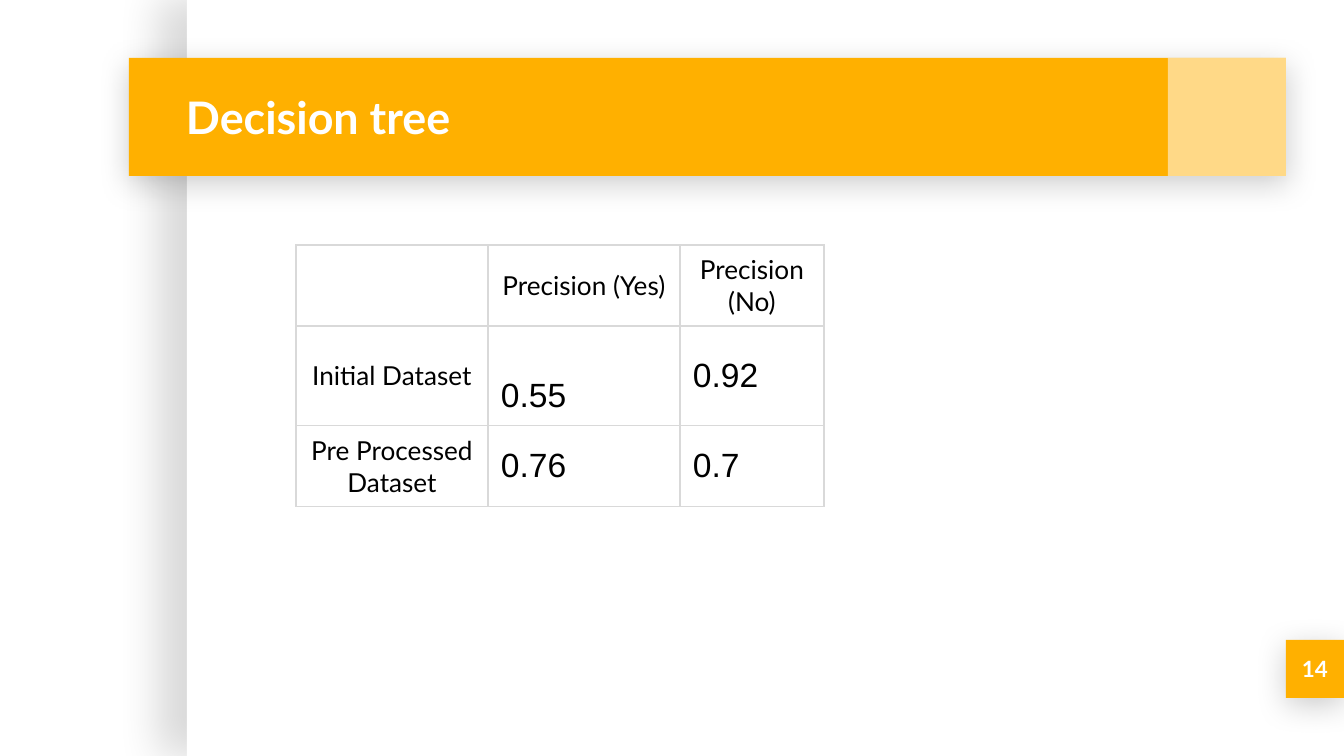
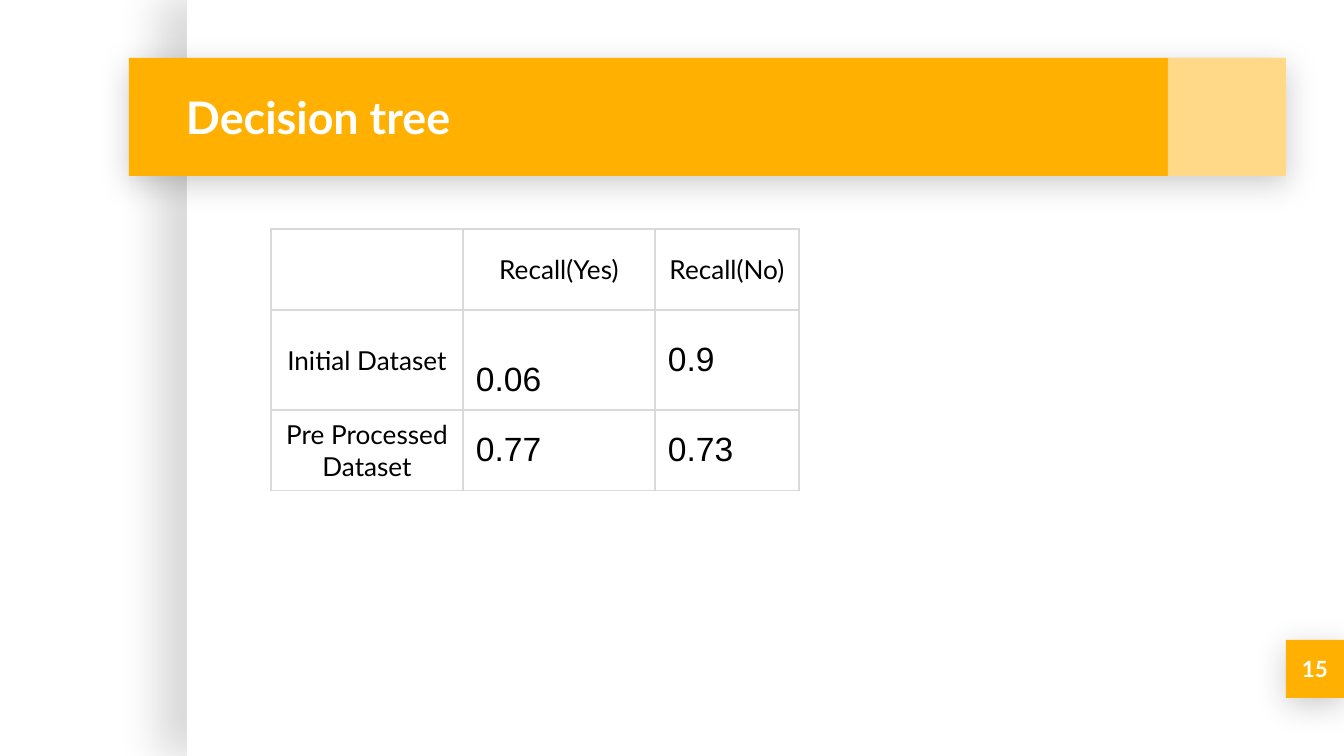
from dataclasses import dataclass

from lxml.etree import SubElement
from pptx import Presentation
from pptx.dml.color import RGBColor
from pptx.enum.shapes import MSO_SHAPE
from pptx.enum.text import MSO_ANCHOR, PP_ALIGN
from pptx.oxml import parse_xml
from pptx.oxml.ns import nsdecls, qn
from pptx.util import Pt

SLIDE_WIDTH, SLIDE_HEIGHT = 1344, 756
EMU_PER_PX = 9144000 / SLIDE_WIDTH


@dataclass(frozen=True)
class Theme:
    paper: str = "FFFFFF"
    ink: str = "000000"
    accent: str = "FFB000"
    grid: str = "D9D9D9"
    label_font: str = "Lato"
    value_font: str = "Arial"
    title_size: int = 24
    value_size: int = 18
    label_size: int = 14
    number_size: int = 12


@dataclass(frozen=True)
class Shadow:
    """Opacity in percent, blur and distance in points, direction in degrees."""
    opacity: int
    blur: float
    distance: float
    direction: int


PANEL_SHADOW = Shadow(15, 22.5, 15, 180)
BAND_SHADOW = Shadow(20, 16.9, 3.8, 90)

BAND = (129, 58, 1157, 118)
BAND_END = (1168, 58, 118, 118)
TITLE = (173, 58, 991, 118)
BADGE = (1286, 640, 58, 58)
PANEL = (187, 0, 1157, SLIDE_HEIGHT)

COLUMNS = (192, 192, 144)
ROWS = (81, 100, 73)
SIDE_INSET, END_INSET = 13, 9
LOWERED_INSET = 48  # drops the first value by one line


def px(*lengths):
    return [round(length * EMU_PER_PX) for length in lengths]


class Deck:
    def __init__(self, theme):
        self.theme = theme
        self.presentation = Presentation()
        self.presentation.slide_width, self.presentation.slide_height = px(
            SLIDE_WIDTH, SLIDE_HEIGHT)
        self.slide = None

    def new_slide(self, title, number):
        """Start a slide with the shared panel, title band and number badge."""
        theme = self.theme
        self.slide = self.presentation.slides.add_slide(
            self.presentation.slide_layouts[6])
        background = self.slide.background.fill
        background.solid()
        background.fore_color.rgb = RGBColor.from_string(theme.paper)

        self.block(PANEL, theme.paper, PANEL_SHADOW)
        self.block(BADGE, theme.accent, BAND_SHADOW)
        self.block(BAND, theme.accent, BAND_SHADOW)
        self.block(BAND_END, theme.paper, opacity=53)
        self.text(TITLE, title, theme.title_size, PP_ALIGN.LEFT)
        self.text(BADGE, str(number), theme.number_size, PP_ALIGN.CENTER)

    def block(self, box, color, shadow=None, opacity=100):
        shape = self.slide.shapes.add_shape(MSO_SHAPE.RECTANGLE, *px(*box))
        shape.fill.solid()
        shape.fill.fore_color.rgb = RGBColor.from_string(color)
        shape.line.fill.background()
        shape.shadow.inherit = False
        properties = shape.element.spPr
        if opacity < 100:
            tint = properties.find(f"{qn('a:solidFill')}/{qn('a:srgbClr')}")
            SubElement(tint, qn("a:alpha"), val=str(opacity * 1000))
        if shadow:
            properties.find(qn("a:effectLst")).append(parse_xml(
                f'<a:outerShdw {nsdecls("a")} blurRad="{Pt(shadow.blur)}" '
                f'dist="{Pt(shadow.distance)}" dir="{shadow.direction * 60000}" '
                f'algn="bl" rotWithShape="0"><a:srgbClr val="{self.theme.ink}">'
                f'<a:alpha val="{shadow.opacity * 1000}"/></a:srgbClr>'
                f'</a:outerShdw>'))

    def text(self, box, words, size, align):
        frame = self.slide.shapes.add_textbox(*px(*box)).text_frame
        frame.word_wrap = True
        frame.vertical_anchor = MSO_ANCHOR.MIDDLE
        (frame.margin_left, frame.margin_right,
         frame.margin_top, frame.margin_bottom) = px(*[SIDE_INSET] * 4)
        self.run(frame.paragraphs[0], words, self.theme.label_font, size,
                 self.theme.paper, align, bold=True)

    def run(self, paragraph, words, font, size, color, align, bold=False):
        paragraph.alignment = align
        run = paragraph.add_run()
        run.text = words
        run.font.name = font
        run.font.size = Pt(size)
        run.font.bold = bold
        run.font.color.rgb = RGBColor.from_string(color)

    def score_table(self, left, top, scores):
        """Draw a table with labels in its first row and column."""
        table = self.slide.shapes.add_table(
            len(ROWS), len(COLUMNS),
            *px(left, top, sum(COLUMNS), sum(ROWS))).table
        table.first_row = table.horz_banding = False
        for column, width in zip(table.columns, px(*COLUMNS)):
            column.width = width
        for row, height in zip(table.rows, px(*ROWS)):
            row.height = height
        for r, row in enumerate(scores):
            for c, words in enumerate(row):
                top_inset = LOWERED_INSET if (r, c) == (1, 1) else END_INSET
                self.cell(table.cell(r, c), words, r == 0 or c == 0, top_inset)

    def cell(self, cell, words, is_label, top_inset):
        theme = self.theme
        cell.fill.background()
        cell.vertical_anchor = MSO_ANCHOR.MIDDLE
        (cell.margin_left, cell.margin_right,
         cell.margin_top, cell.margin_bottom) = px(
            SIDE_INSET, SIDE_INSET, top_inset, END_INSET)
        self.borders(cell)
        if not words:
            return
        paragraph = cell.text_frame.paragraphs[0]
        if is_label:
            self.run(paragraph, words, theme.label_font, theme.label_size,
                     theme.ink, PP_ALIGN.CENTER)
        else:
            self.run(paragraph, words, theme.value_font, theme.value_size,
                     theme.ink, PP_ALIGN.LEFT)

    def borders(self, cell):
        properties = cell._tc.get_or_add_tcPr()
        for position, side in enumerate(("lnL", "lnR", "lnT", "lnB")):
            properties.insert(position, parse_xml(
                f'<a:{side} {nsdecls("a")} w="{Pt(0.75)}"><a:solidFill>'
                f'<a:srgbClr val="{self.theme.grid}"/></a:solidFill></a:{side}>'))


def main():
    deck = Deck(Theme())

    deck.new_slide("Decision tree", 14)
    deck.score_table(296, 245, [
        ("", "Precision (Yes)", "Precision (No)"),
        ("Initial Dataset", "0.55", "0.92"),
        ("Pre Processed Dataset", "0.76", "0.7"),
    ])

    deck.new_slide("Decision tree", 15)
    deck.score_table(271, 229, [
        ("", "Recall(Yes)", "Recall(No)"),
        ("Initial Dataset", "0.06", "0.9"),
        ("Pre Processed Dataset", "0.77", "0.73"),
    ])

    deck.presentation.save("out.pptx")


if __name__ == "__main__":
    main()
